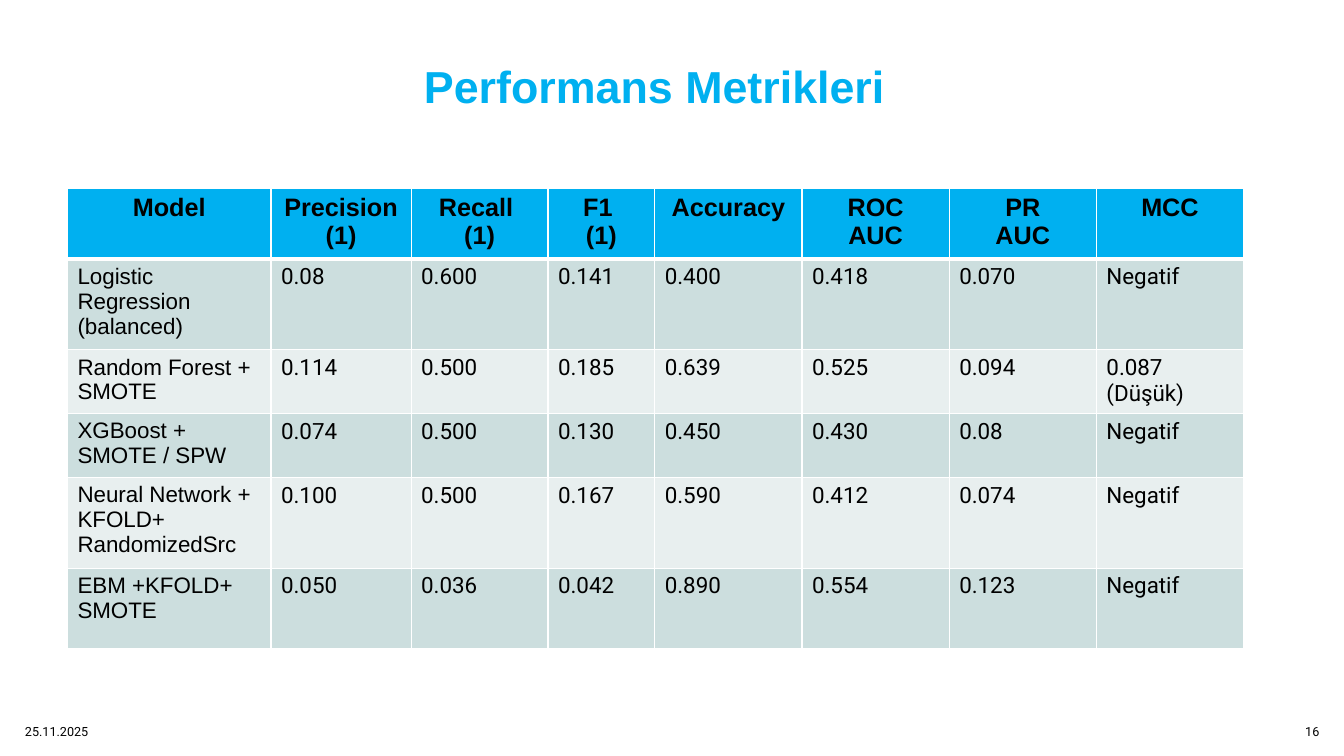
from lxml.etree import SubElement
from pptx import Presentation
from pptx.dml.color import RGBColor as RGB
from pptx.enum.text import MSO_ANCHOR as Anchor, PP_ALIGN as Align
from pptx.oxml.ns import qn
from pptx.util import Cm, Pt

COLORS = {"accent": "00B0F0", "text": "000000", "line": "FFFFFF",
          "dark": "CCDEDE", "light": "E8EFEF"}
HEAD = ["Model", "Precision\n(1)", "Recall \n(1)", "F1 \n(1)",
        "Accuracy", "ROC\nAUC", "PR\nAUC", "MCC"]
MODELS = [
    ("Logistic Regression (balanced)",
     "0.08", "0.600", "0.141", "0.400", "0.418", "0.070", "Negatif"),
    ("Random Forest + SMOTE",
     "0.114", "0.500", "0.185", "0.639", "0.525", "0.094", "0.087 (Düşük)"),
    ("XGBoost + SMOTE / SPW",
     "0.074", "0.500", "0.130", "0.450", "0.430", "0.08", "Negatif"),
    ("Neural Network + KFOLD+\nRandomizedSrc",
     "0.100", "0.500", "0.167", "0.590", "0.412", "0.074", "Negatif"),
    ("EBM +KFOLD+ SMOTE",
     "0.050", "0.036", "0.042", "0.890", "0.554", "0.123", "Negatif"),
]
WIDTHS = [5.13, 3.53, 3.45, 2.69] + [3.71] * 4
HEIGHTS = [1.04] * 4 + [2.03] * 2
# text, box in cm, size, font, color, bold, align, anchor, line spacing
LABELS = [
    ("Performans Metrikleri", (1.7, 1.52, 29.59, 3.15), 32, "Arial",
     "accent", True, Align.CENTER, Anchor.TOP, 0.9),
    ("25.11.2025", (0.38, 17.93, 9.7, 1.02), 9, "Roboto",
     "text", False, Align.LEFT, Anchor.MIDDLE, 1.0),
    ("16", (32.31, 17.93, 1.19, 1.02), 9, "Roboto",
     "text", False, Align.RIGHT, Anchor.MIDDLE, 1.0),
]


def color(name):
    return RGB.from_string(COLORS[name])


def style(frame, size, face, tint, bold, align):
    for para in frame.paragraphs:
        para.alignment = align
        font = para.font
        font.size, font.name, font.bold = Pt(size), face, bold
        font.color.rgb = color(tint)


def border(cell, top, bottom):
    """Draw white cell edges; top and bottom are widths in points."""
    props = cell._tc.get_or_add_tcPr()
    for side, width in zip("LRTB", (1, 1, top, bottom)):
        line = SubElement(props, qn("a:ln" + side), w=str(Pt(width)))
        fill = SubElement(line, qn("a:solidFill"))
        SubElement(fill, qn("a:srgbClr"), val=COLORS["line"])


def add_label(slide, text, box, size, face, tint, bold, align, anchor, gap):
    frame = slide.shapes.add_textbox(*map(Cm, box)).text_frame
    frame.word_wrap = True
    frame.vertical_anchor = anchor
    frame.text = text
    style(frame, size, face, tint, bold, align)
    frame.paragraphs[0].line_spacing = gap


def add_grid(slide):
    rows = [HEAD] + MODELS
    table = slide.shapes.add_table(
        len(rows), len(HEAD), Cm(1.7), Cm(4.75),
        Cm(sum(WIDTHS)), Cm(sum(HEIGHTS))).table
    for col, width in zip(table.columns, WIDTHS):
        col.width = Cm(width)
    for r, (row, height) in enumerate(zip(rows, HEIGHTS)):
        table.rows[r].height = Cm(height)
        head = r == 0
        shade = "accent" if head else ("light", "dark")[r % 2]
        for c, text in enumerate(row):
            cell = table.cell(r, c)
            cell.text = text
            border(cell, 3 if r == 1 else 1, 3 if head else 1)
            cell.fill.solid()
            cell.fill.fore_color.rgb = color(shade)
            style(cell.text_frame, 18 if head else 16,
                  "Arial" if head or c == 0 else "Roboto", "text", head,
                  Align.CENTER if head else Align.LEFT)


def main():
    deck = Presentation()
    deck.slide_width, deck.slide_height = Cm(33.87), Cm(19.05)
    slide = deck.slides.add_slide(deck.slide_layouts[6])
    title, *footer = LABELS
    add_label(slide, *title)
    add_grid(slide)
    for label in footer:
        add_label(slide, *label)
    deck.save("out.pptx")


if __name__ == "__main__":
    main()
